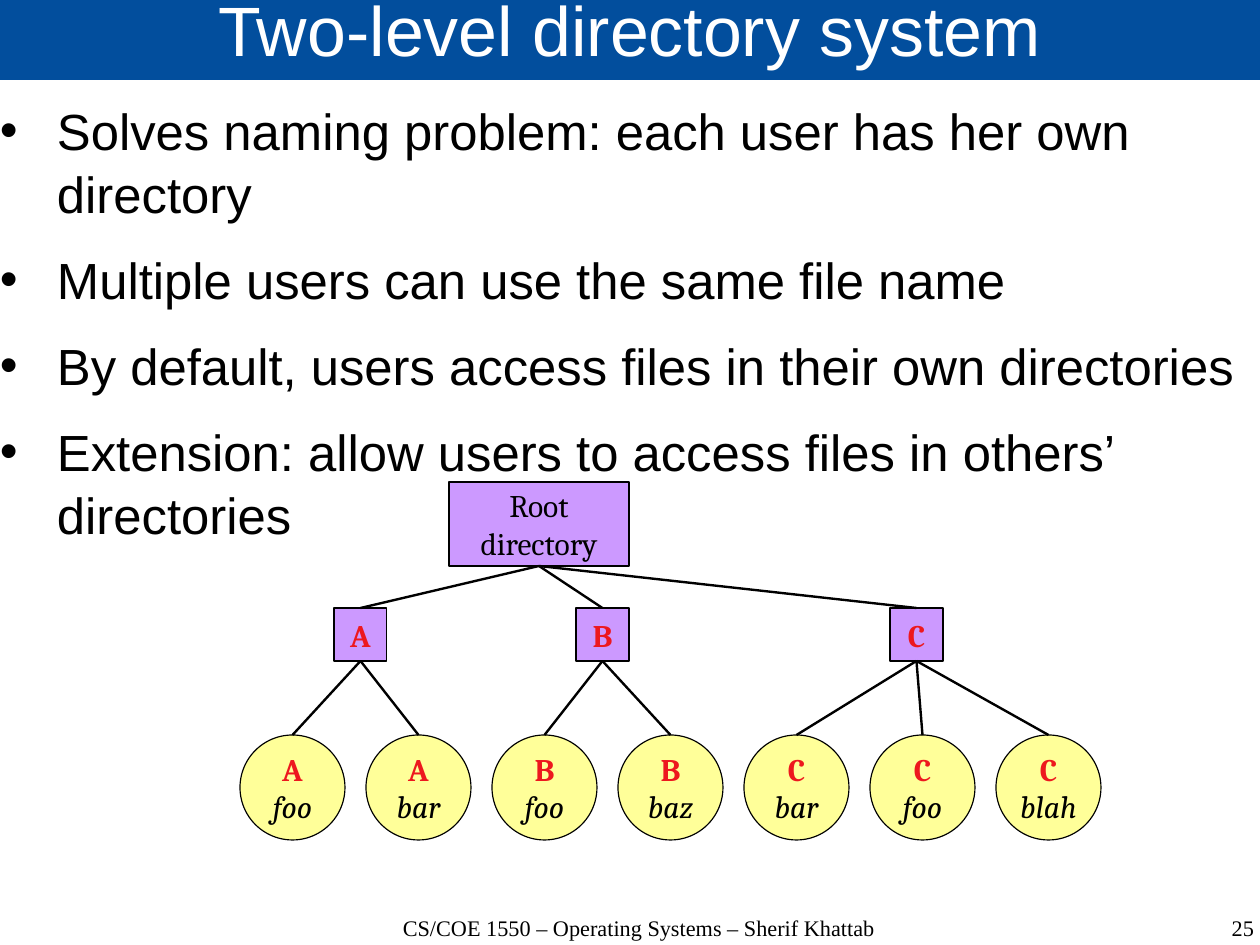
from lxml.etree import SubElement
from pptx import Presentation
from pptx.dml.color import RGBColor
from pptx.enum.shapes import MSO_CONNECTOR, MSO_SHAPE
from pptx.enum.text import MSO_ANCHOR, PP_ALIGN
from pptx.oxml.ns import qn
from pptx.util import Pt

PX = 8000
BLACK, RED, WHITE = "000000", "ED181E", "FFFFFF"
BLUE, PURPLE, YELLOW = "024E9D", "CC99FF", "FFFF99"
POINTS = [
    "Solves naming problem: each user has her own directory",
    "Multiple users can use the same file name",
    "By default, users access files in their own directories",
    "Extension: allow users to access files in others’ directories",
]
USERS = [
    ("A", 334, ["foo", "bar"]),
    ("B", 576, ["foo", "baz"]),
    ("C", 890, ["bar", "foo", "blah"]),
]


def tint(color, code):
    """Set a color from a hex string."""
    color.rgb = RGBColor.from_string(code)


def scale(*sizes):
    """Turn px lengths into EMU."""
    return [size * PX for size in sizes]


def style(run, face, size, code, bold=False, slant=False):
    """Set the font of one run."""
    font = run.font
    font.name, font.size, font.bold, font.italic = face, Pt(size), bold, slant
    tint(font.color, code)


def clear(frame):
    """Remove the margins of a text frame and let it wrap."""
    frame.margin_left = frame.margin_right = 0
    frame.margin_top = frame.margin_bottom = 0
    frame.word_wrap = True


def fill_in(shape, code):
    """Give a shape a flat fill without shadow."""
    shape.shadow.inherit = False
    shape.fill.solid()
    tint(shape.fill.fore_color, code)


def add_title(slide, text):
    """Add the title band."""
    band = slide.shapes.add_shape(MSO_SHAPE.RECTANGLE, *scale(0, -2, 1260, 82))
    fill_in(band, BLUE)
    band.line.fill.background()
    frame = band.text_frame
    clear(frame)
    frame.vertical_anchor = MSO_ANCHOR.MIDDLE
    frame.text = text
    para = frame.paragraphs[0]
    para.alignment, para.line_spacing = PP_ALIGN.CENTER, 0.69
    style(para.runs[0], "Arial", 44, WHITE)


def add_list(slide, items):
    """Add the bulleted list."""
    frame = slide.shapes.add_textbox(*scale(0, 97, 1260, 814)).text_frame
    clear(frame)
    frame.text = "\n".join(items)
    for para in frame.paragraphs:
        para.space_after, para.line_spacing = Pt(14.2), 1.04
        props = para._p.get_or_add_pPr()
        props.set("marL", str(57 * PX))
        props.set("indent", str(-57 * PX))
        SubElement(props, qn("a:buFont"), typeface="Arial")
        SubElement(props, qn("a:buChar"), char="•")
        style(para.runs[0], "Arial", 32, BLACK)


def add_note(slide, text, left, width, align):
    """Add one text of the footer."""
    frame = slide.shapes.add_textbox(*scale(left, 916, width, 29)).text_frame
    clear(frame)
    frame.text = text
    para = frame.paragraphs[0]
    para.alignment, para.line_spacing = align, 0.96
    style(para.runs[0], "Times New Roman", 14, BLACK)


def add_node(slide, kind, box, code, text):
    """Add an outlined tree node with centred text."""
    node = slide.shapes.add_shape(kind, *scale(*box))
    fill_in(node, code)
    tint(node.line.color, BLACK)
    node.line.width = Pt(0.75)
    frame = node.text_frame
    frame.word_wrap = False
    frame.vertical_anchor = MSO_ANCHOR.MIDDLE
    para = frame.paragraphs[0]
    para.text = text
    para.alignment = PP_ALIGN.CENTER
    for run in para.runs:
        style(run, "Cambria", 19.8, BLACK)
    return node


def mark(node, slant=False):
    """Make the owner red and bold, and the file name italic."""
    owner, *names = node.text_frame.paragraphs[0].runs
    style(owner, "Cambria", 19.8, RED, bold=True)
    for name in names:
        style(name, "Cambria", 19.8, BLACK, slant=True)


def link(slide, upper, lower):
    """Join the bottom of one node to the top of another."""
    line = slide.shapes.add_connector(MSO_CONNECTOR.STRAIGHT, 0, 0, 0, 0)
    line.begin_connect(upper, 2)
    line.end_connect(lower, 0)
    tint(line.line.color, BLACK)
    line.line.width = Pt(1.5)
    SubElement(line._element.spPr, qn("a:effectLst"))


def add_tree(slide):
    """Add the root, the user directories and their files."""
    rect, oval = MSO_SHAPE.RECTANGLE, MSO_SHAPE.OVAL
    root = add_node(slide, rect, (449, 482, 180, 84), PURPLE, "Root\vdirectory")
    left = 240
    for owner, place, files in USERS:
        user = add_node(slide, rect, (place, 608, 53, 53), PURPLE, owner)
        mark(user)
        link(slide, root, user)
        for name in files:
            box = (left, 735, 105, 105)
            leaf = add_node(slide, oval, box, YELLOW, f"{owner}\v{name}")
            mark(leaf)
            link(slide, user, leaf)
            left += 126


def main():
    """Build and save the slide."""
    deck = Presentation()
    deck.slide_width, deck.slide_height = scale(1260, 945)
    slide = deck.slides.add_slide(deck.slide_layouts[6])
    add_title(slide, "Two-level directory system")
    add_list(slide, POINTS)
    course = "CS/COE 1550 – Operating Systems – Sherif Khattab"
    add_note(slide, course, 351, 576, PP_ALIGN.CENTER)
    add_note(slide, "25", 965, 289, PP_ALIGN.RIGHT)
    add_tree(slide)
    deck.save("out.pptx")


if __name__ == "__main__":
    main()
